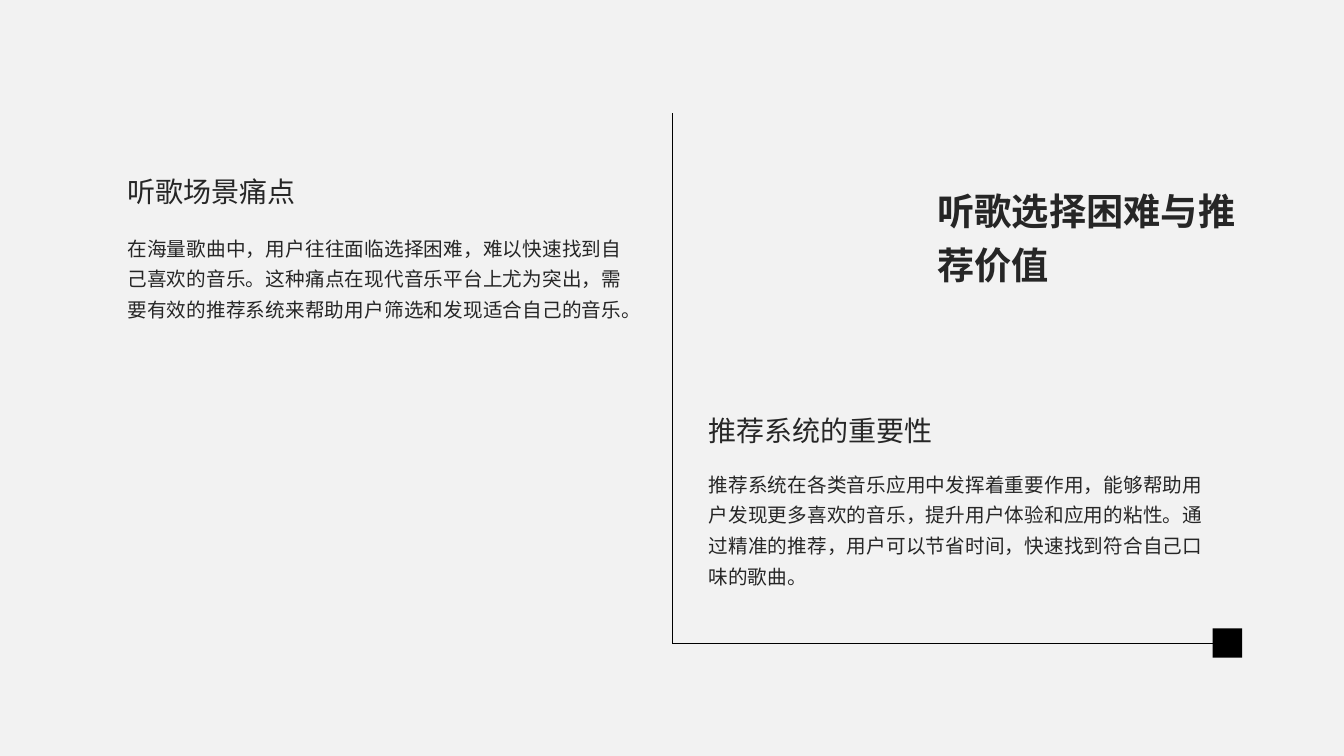
from lxml import etree
from pptx import Presentation
from pptx import util as u
from pptx.dml.color import RGBColor
from pptx.enum import shapes, text

COLOURS = {"background": "F2F2F2", "ink": "262626", "rule": "000000"}
FONT = "Roboto"
DRAWING_NS = "http://schemas.openxmlformats.org/drawingml/2006/main"


def colour(name):
    return RGBColor.from_string(COLOURS[name])


def write(box, words, size, spacing, bold=False,
          align=text.PP_ALIGN.LEFT, anchor=text.MSO_ANCHOR.TOP):
    frame = box.text_frame
    frame.word_wrap = True
    frame.auto_size = text.MSO_AUTO_SIZE.NONE
    frame.vertical_anchor = anchor
    frame.margin_left = frame.margin_right = u.Pt(7.2)
    frame.margin_top = frame.margin_bottom = u.Pt(3.6)
    para = frame.paragraphs[0]
    para.alignment = align
    para.line_spacing = spacing
    para.space_before = u.Pt(0)
    span = para.add_run()
    span.text = words
    span.font.name = FONT
    span.font.size = u.Pt(size)
    span.font.bold = bold
    span.font.color.rgb = colour("ink")


def add_title(page, left, top, width, height, words):
    title = page.shapes.title
    title.left, title.top = u.Pt(left), u.Pt(top)
    title.width, title.height = u.Pt(width), u.Pt(height)
    write(title, words, 26.6, 1.2, bold=True)


def add_section(page, left, top, body_offset, heading, body):
    """Heading with a justified paragraph below it."""
    box = page.shapes.add_textbox(u.Pt(left), u.Pt(top), u.Pt(316.8), u.Pt(36))
    write(box, heading, 20, 1.2, anchor=text.MSO_ANCHOR.MIDDLE)
    box = page.shapes.add_textbox(
        u.Pt(left), u.Pt(top + body_offset), u.Pt(367.2), u.Pt(117.4))
    write(box, body, 14, 1.3, align=text.PP_ALIGN.JUSTIFY)


def add_rule(page, start_x, start_y, end_x, end_y):
    rule = page.shapes.add_connector(
        shapes.MSO_CONNECTOR.STRAIGHT,
        u.Pt(start_x), u.Pt(start_y), u.Pt(end_x), u.Pt(end_y))
    rule.line.color.rgb = colour("rule")
    rule.line.width = u.Pt(0.25)
    etree.SubElement(rule._element.spPr, f"{{{DRAWING_NS}}}effectLst")
    return rule


def add_frame(page, left, top, width, height, side=21):
    """Vertical and bottom rules, closed by a square at the right end."""
    right, bottom = left + width, top + height
    square = page.shapes.add_shape(
        shapes.MSO_SHAPE.RECTANGLE, u.Pt(right - side),
        u.Pt(bottom - side / 2), u.Pt(side), u.Pt(side))
    square.shadow.inherit = False
    square.fill.solid()
    square.fill.fore_color.rgb = colour("rule")
    square.line.fill.background()
    base = add_rule(page, right - side, bottom, left, bottom)
    base.begin_connect(square, 1)
    add_rule(page, left, top, left, bottom)


def build_page(deck):
    page = deck.slides.add_slide(deck.slide_layouts[5])
    page.background.fill.solid()
    page.background.fill.fore_color.rgb = colour("background")

    # Title and dividing frame
    add_title(page, 662.4, 124.6, 244.8, 85, "听歌选择困难与推荐价值")
    add_frame(page, 480, 80.8, 407.2, 378.5)

    # Left and right sections
    add_section(
        page, 84, 116, 44.6, "听歌场景痛点",
        "在海量歌曲中，用户往往面临选择困难，难以快速找到自己喜欢的音乐。"
        "这种痛点在现代音乐平台上尤为突出，需要有效的推荐系统来帮助用户筛选"
        "和发现适合自己的音乐。")
    add_section(
        page, 499, 286.8, 42.4, "推荐系统的重要性",
        "推荐系统在各类音乐应用中发挥着重要作用，能够帮助用户发现更多喜欢的"
        "音乐，提升用户体验和应用的粘性。通过精准的推荐，用户可以节省时间，"
        "快速找到符合自己口味的歌曲。")


def main():
    deck = Presentation()
    deck.slide_width, deck.slide_height = u.Pt(960), u.Pt(540)
    build_page(deck)
    deck.save("out.pptx")


if __name__ == "__main__":
    main()
